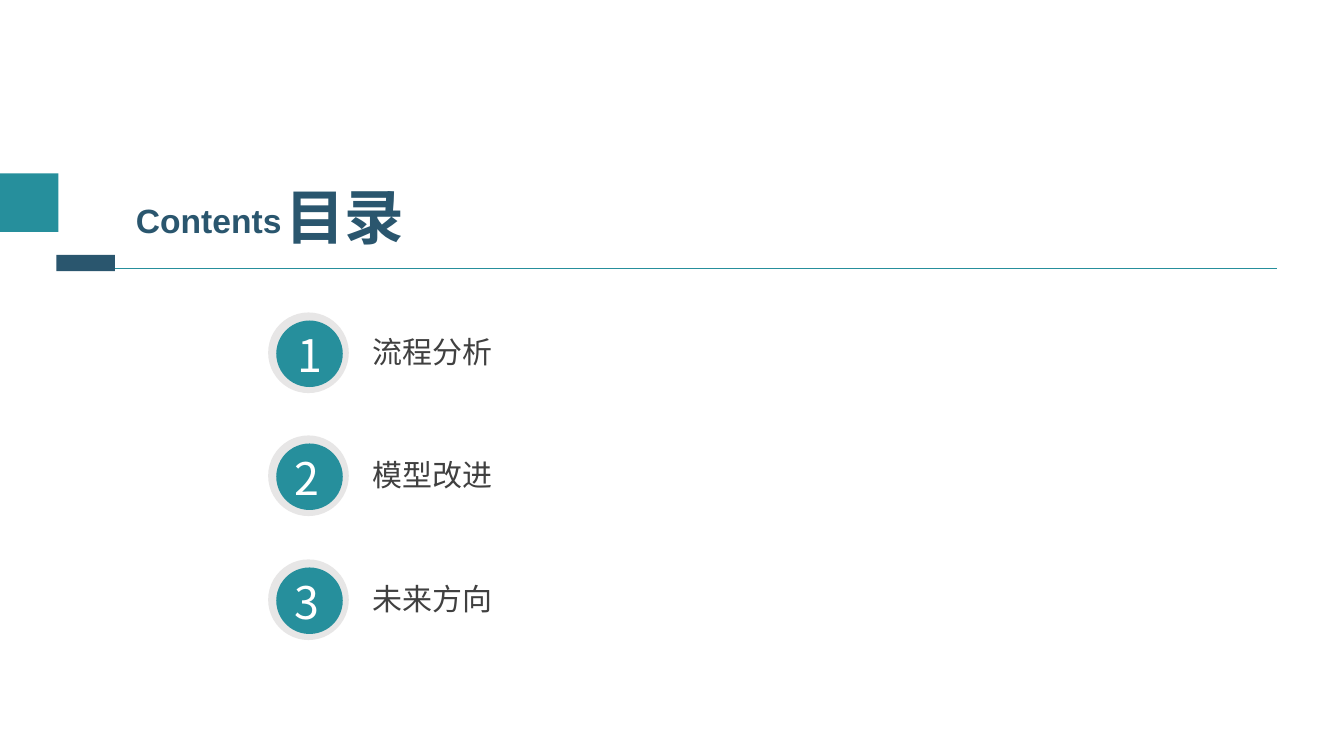
from lxml.etree import SubElement
from pptx import Presentation
from pptx.dml.color import RGBColor
from pptx.enum.shapes import MSO_CONNECTOR, MSO_SHAPE
from pptx.enum.text import MSO_ANCHOR, MSO_AUTO_SIZE, PP_ALIGN
from pptx.oxml.ns import qn
from pptx.util import Pt

PX = 9144  # EMU per px, 100 px to the inch
TEAL = RGBColor(0x26, 0x8F, 0x9C)
NAVY = RGBColor(0x2A, 0x56, 0x6E)
RING_GREY = RGBColor(0xE7, 0xE6, 0xE6)
TEXT_GREY = RGBColor(0x40, 0x40, 0x40)
WHITE = RGBColor(0xFF, 0xFF, 0xFF)
CJK = "Noto Sans CJK SC"

HEADING = {"name": CJK, "size": Pt(42.6), "bold": True}
SUBHEADING = {"name": "Arial", "size": Pt(24), "bold": True}
NUMBER = {"name": CJK, "size": Pt(32), "bold": False}
LABEL = {"name": CJK, "size": Pt(21.4), "bold": False}


def add_filled(preset, left, top, width, height, color):
    shape = page.shapes.add_shape(
        preset, left * PX, top * PX, width * PX, height * PX)
    shape.shadow.inherit = False
    shape.fill.solid()
    shape.fill.fore_color.rgb = color
    shape.line.fill.background()


def write_text(box, position, text, font_format, color):
    for side, length in zip(("left", "top", "width", "height"), position):
        setattr(box, side, length * PX)
    frame = box.text_frame
    frame.word_wrap = True
    frame.auto_size = MSO_AUTO_SIZE.NONE
    frame.vertical_anchor = MSO_ANCHOR.TOP
    para = frame.paragraphs[0]
    para.alignment = PP_ALIGN.LEFT
    span = para.add_run()
    span.text = text
    for attribute, value in font_format.items():
        setattr(span.font, attribute, value)
    span.font.color.rgb = color
    # East Asian characters take their own typeface element
    east_asian = SubElement(span.font._element, qn("a:ea"))
    east_asian.set("typeface", font_format["name"])


deck = Presentation()
deck.slide_width = 1333 * PX
deck.slide_height = 750 * PX
page = deck.slides.add_slide(deck.slide_layouts[5])

# Header rule and accent blocks
rule = page.shapes.add_connector(
    MSO_CONNECTOR.STRAIGHT, 59 * PX, 266 * PX, 1267 * PX, 266 * PX)
rule.line.color.rgb = TEAL
rule.line.width = Pt(0.75)
SubElement(rule._element.spPr, qn("a:effectLst"))
add_filled(MSO_SHAPE.RECTANGLE, 0, 172, 58, 58, TEAL)
add_filled(MSO_SHAPE.RECTANGLE, 56, 253, 58, 16, NAVY)

# Heading in two languages
write_text(page.shapes.title, (273, 173, 171, 82), "目录", HEADING, NAVY)
write_text(page.shapes.add_textbox(0, 0, 0, 0), (125, 193, 206, 50),
           "Contents", SUBHEADING, NAVY)

# Numbered entries: ring, disc, number, label
entries = [("1", 285, "流程分析"), ("2", 282, "模型改进"), ("3", 282, "未来方向")]
for index, (number, number_left, label) in enumerate(entries):
    top = 310 + index * 245 // 2
    add_filled(MSO_SHAPE.OVAL, 266, top, 80, 80, RING_GREY)
    add_filled(MSO_SHAPE.OVAL, 274, top + 8, 66, 66, TEAL)
    write_text(page.shapes.add_textbox(0, 0, 0, 0),
               (number_left, top + 10, 48, 64), number, NUMBER, WHITE)
    write_text(page.shapes.add_textbox(0, 0, 0, 0),
               (360, top + 16, 213, 46), label, LABEL, TEXT_GREY)

deck.save("out.pptx")
